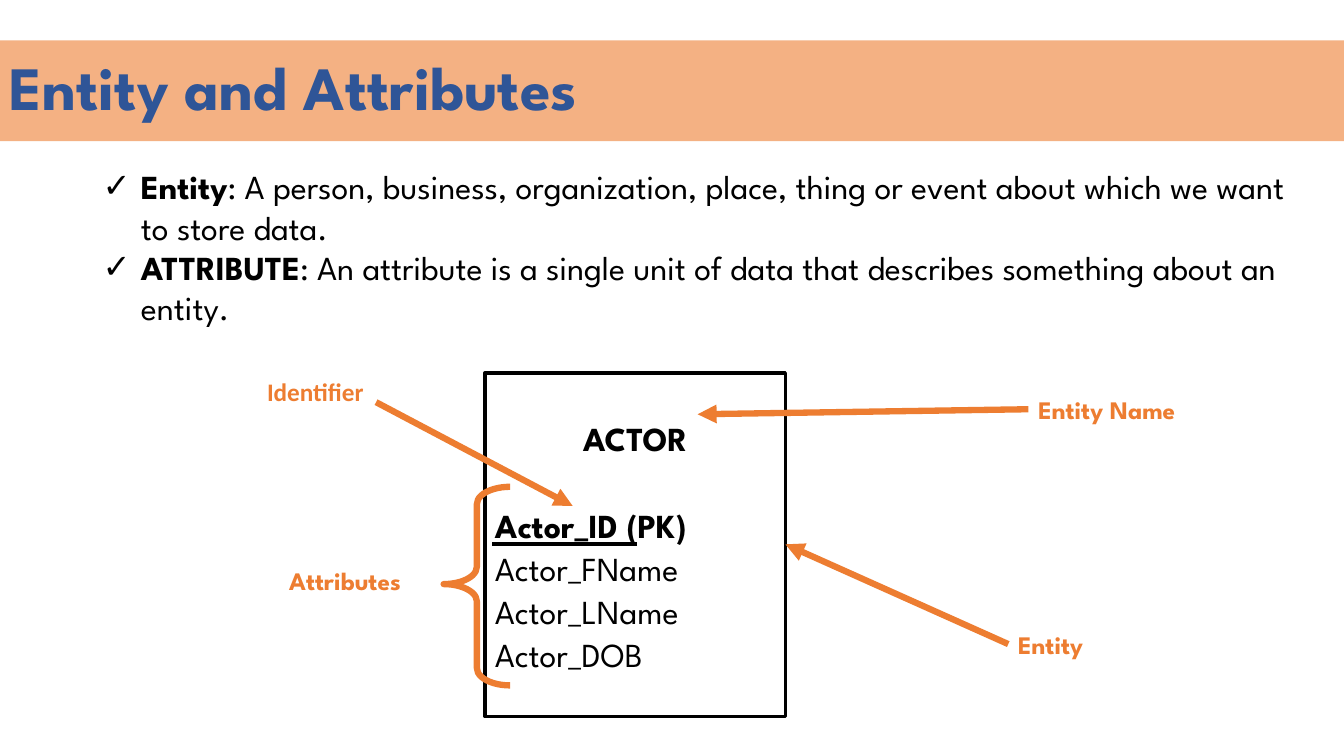
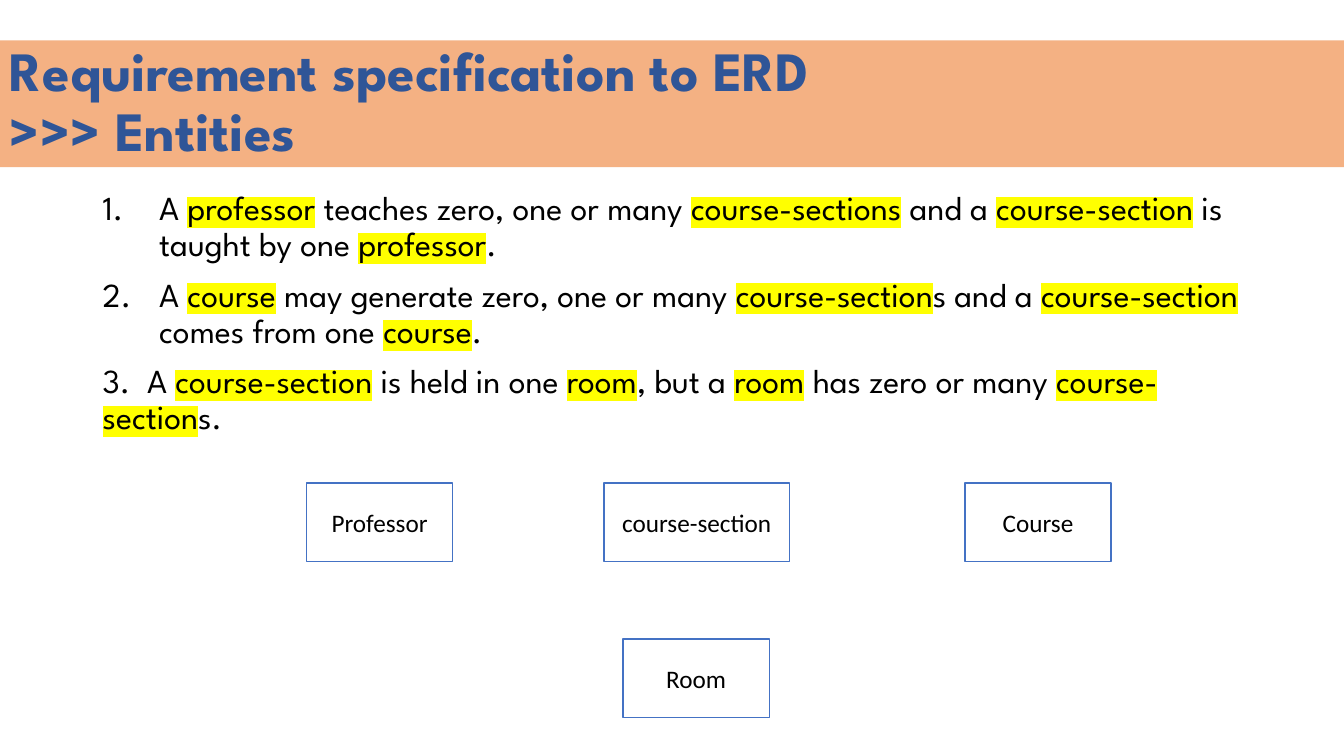
import pptx
import pptx.util
import pptx.dml.color
import pptx.enum.shapes
import pptx.enum.text
import pptx.oxml.ns
from lxml import etree

Inches, Pt = pptx.util.Inches, pptx.util.Pt
SHAPE = pptx.enum.shapes.MSO_SHAPE
ALIGN = pptx.enum.text.PP_ALIGN
ANCHOR = pptx.enum.text.MSO_ANCHOR
qn = pptx.oxml.ns.qn

COLORS = {"band": "F4B183", "title": "2F5597", "accent": "ED7D31", "ink": "000000",
          "paper": "FFFFFF", "outline": "4472C4", "mark": "FFFF00"}
SPARTAN, CALIBRI = "League Spartan", "Calibri"
BODY = {"name": SPARTAN, "size": Pt(24)}
LABEL = {"name": SPARTAN, "size": Pt(18), "bold": True}
BOX = {"name": CALIBRI, "size": Pt(18)}


def rgb(key):
    return pptx.dml.color.RGBColor.from_string(COLORS[key])


# Text
def add_run(p, text, fmt, color="ink", highlight=False):
    r = p.add_run()
    r.text = text
    for name, value in fmt.items():
        setattr(r.font, name, value)
    r.font.color.rgb = rgb(color)
    if highlight:
        mark = etree.Element(qn("a:highlight"))
        etree.SubElement(mark, qn("a:srgbClr"), val=COLORS["mark"])
        r.font.fill._xPr.find(qn("a:solidFill")).addnext(mark)


def add_marked(p, text, fmt, bold=False, highlight=False):
    """Write text in which the parts between bars are bold or highlighted."""
    for i, part in enumerate(text.split("|")):
        marked = i % 2 == 1
        if part:
            add_run(p, part, {**fmt, "bold": marked and bold},
                    highlight=marked and highlight)


def set_bullet(p, indent, tag, **attrs):
    pPr = p._p.get_or_add_pPr()
    pPr.set("marL", str(Inches(indent)))
    pPr.set("indent", str(-Inches(indent)))
    if tag == "a:buChar":
        etree.SubElement(pPr, qn("a:buFont"), typeface="Wingdings" if attrs["char"] == "ü" else "Arial")
    etree.SubElement(pPr, qn(tag), **attrs)


def set_tab(p, position):
    tabs = etree.SubElement(p._p.get_or_add_pPr(), qn("a:tabLst"))
    etree.SubElement(tabs, qn("a:tab"), pos=str(Inches(position)), algn="l")


def paragraphs(tf, items):
    """Yield each item with its own paragraph."""
    for i, item in enumerate(items):
        yield (tf.add_paragraph() if i else tf.paragraphs[0]), item


def add_textbox(s, x, y, w, h):
    tf = s.shapes.add_textbox(Inches(x), Inches(y), Inches(w), Inches(h)).text_frame
    tf.word_wrap = True
    return tf


def add_label(s, x, y, w, text, font=SPARTAN):
    tf = add_textbox(s, x, y, w, 0.4)
    add_run(tf.paragraphs[0], text, {**LABEL, "name": font}, "accent")


# Shapes and lines
def add_shape(s, kind, x, y, w, h, fill=None, line=None, width=1):
    sp = s.shapes.add_shape(kind, Inches(x), Inches(y), Inches(w), Inches(h))
    sp.shadow.inherit = False
    for part, color in ((sp.fill, fill), (sp.line.fill, line)):
        if color:
            part.solid()
            part.fore_color.rgb = rgb(color)
        else:
            part.background()
    if line:
        sp.line.width = Pt(width)
    sp.text_frame.word_wrap = True
    sp.text_frame.vertical_anchor = ANCHOR.MIDDLE
    return sp


def add_line(s, start, end, color="accent", width=4.5, arrow=True):
    ends = [Inches(v) for v in (*start, *end)]
    line = s.shapes.add_connector(pptx.enum.shapes.MSO_CONNECTOR.STRAIGHT, *ends)
    line.line.color.rgb = rgb(color)
    line.line.width = Pt(width)
    if arrow:
        etree.SubElement(line.line._get_or_add_ln(), qn("a:tailEnd"), type="triangle")
    etree.SubElement(line._element.spPr, qn("a:effectLst"))


def add_entity(s, x, y, w, text):
    sp = add_shape(s, SHAPE.RECTANGLE, x, y, w, 0.78, "paper", "outline")
    p = sp.text_frame.paragraphs[0]
    p.alignment = ALIGN.CENTER
    add_run(p, text, BOX)


# Slide with the shared title band
def add_slide(prs, title, height, size):
    s = prs.slides.add_slide(prs.slide_layouts[6])
    band = add_shape(s, SHAPE.RECTANGLE, 0, 0.4, 13.33, height, "band")
    p = band.text_frame.paragraphs[0]
    p.alignment, p.line_spacing = ALIGN.LEFT, 0.9
    for i, line in enumerate(title.split("\n")):
        if i:
            p.add_line_break()
        add_run(p, line, {"name": SPARTAN, "size": Pt(size), "bold": True}, "title")
    return s


def entity_and_attributes(prs):
    s = add_slide(prs, "Entity and Attributes", 1, 44)

    # Definitions
    definitions = [
        "|Entity|: A person, business, organization, place, thing or event about which "
        "we want to store data.",
        "|ATTRIBUTE|: An attribute is a single unit of data that describes something "
        "about an entity.",
    ]
    for p, text in paragraphs(add_textbox(s, 0.92, 1.6, 12.02, 1.72), definitions):
        set_bullet(p, 0.38, "a:buChar", char="✓")
        add_marked(p, text, BODY, bold=True)

    # Entity box
    actor = add_shape(s, SHAPE.RECTANGLE, 4.81, 3.7, 2.98, 3.41, line="ink", width=2.25)
    rows = ["|ACTOR|", "|Actor_ID (PK)|", "Actor_FName", "Actor_LName", "Actor_DOB"]
    for p, text in paragraphs(actor.text_frame, rows):
        p.alignment = ALIGN.CENTER if text == rows[0] else ALIGN.LEFT
        p.line_spacing = 1.07
        if text == rows[1]:
            p.space_before = Pt(31)
        add_marked(p, text, BODY, bold=True)
    add_line(s, (6.32, 5.4), (4.88, 5.4), "ink", 3, arrow=False)

    # Callouts
    brace = add_shape(s, SHAPE.LEFT_BRACE, 4.4, 4.83, 0.66, 1.97, line="accent", width=4.5)
    brace.adjustments[0], brace.adjustments[1] = 0.26, 0.49
    for start, end in (((10, 6.39), (7.79, 5.4)),
                       ((10.2, 4.06), (6.92, 4.11)),
                       ((3.73, 3.99), (5.68, 5.02))):
        add_line(s, start, end)
    add_label(s, 10, 6.19, 1.15, "Entity")
    add_label(s, 2.77, 5.56, 1.56, "Attributes")
    add_label(s, 10.2, 3.86, 1.99, "Entity Name")
    add_label(s, 2.55, 3.68, 1.99, "Identifier", CALIBRI)


def requirements_to_entities(prs):
    s = add_slide(prs, "Requirement specification to ERD\n>>> Entities", 1.26, 39.6)

    # Requirements
    requirements = [
        "A |professor| teaches zero, one or many |course-sections| and a "
        "|course-section| is taught by one |professor|.",
        "A |course| may generate zero, one or many |course-section|s and a "
        "|course-section| comes from one |course|.",
        "3.\tA |course-section| is held in one |room|, but a |room| has zero or many "
        "|course-section|s.",
    ]
    for p, text in paragraphs(add_textbox(s, 0.92, 1.85, 11.83, 2.64), requirements):
        p.line_spacing = 0.9
        if text != requirements[0]:
            p.space_before = Pt(10)
        if "\t" in text:
            set_tab(p, 0.44)
        else:
            set_bullet(p, 0.56, "a:buAutoNum", type="arabicPeriod")
        add_marked(p, text, BODY, highlight=True)

    # Entities found
    for x, y, w, name in ((3.04, 4.79, 1.45, "Professor"),
                          (5.99, 4.79, 1.84, "course-section"),
                          (9.57, 4.79, 1.45, "Course"),
                          (6.18, 6.34, 1.45, "Room")):
        add_entity(s, x, y, w, name)


def main():
    prs = pptx.Presentation()
    prs.slide_width, prs.slide_height = Inches(13.33), Inches(7.5)
    entity_and_attributes(prs)
    requirements_to_entities(prs)
    prs.save("out.pptx")


if __name__ == "__main__":
    main()
